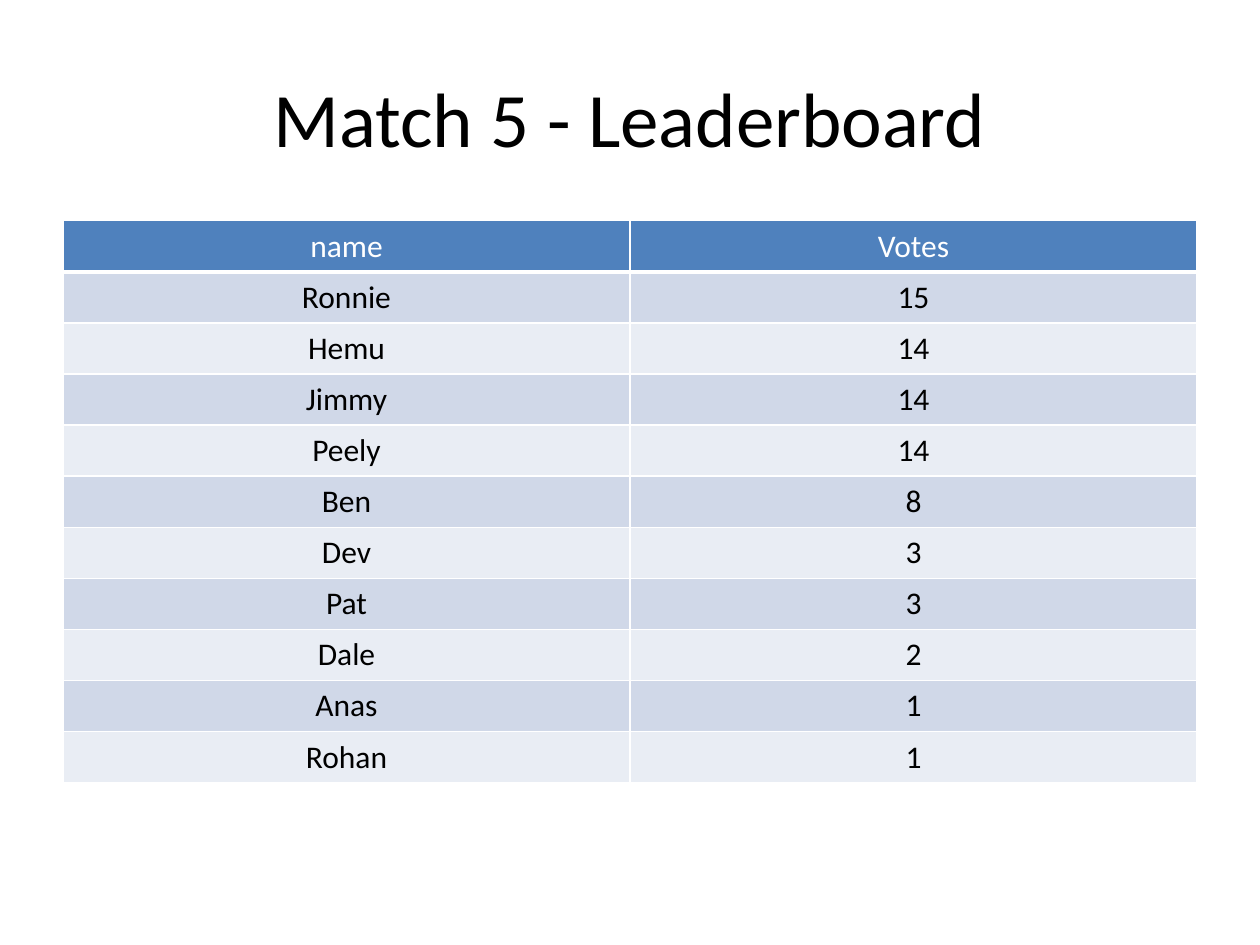
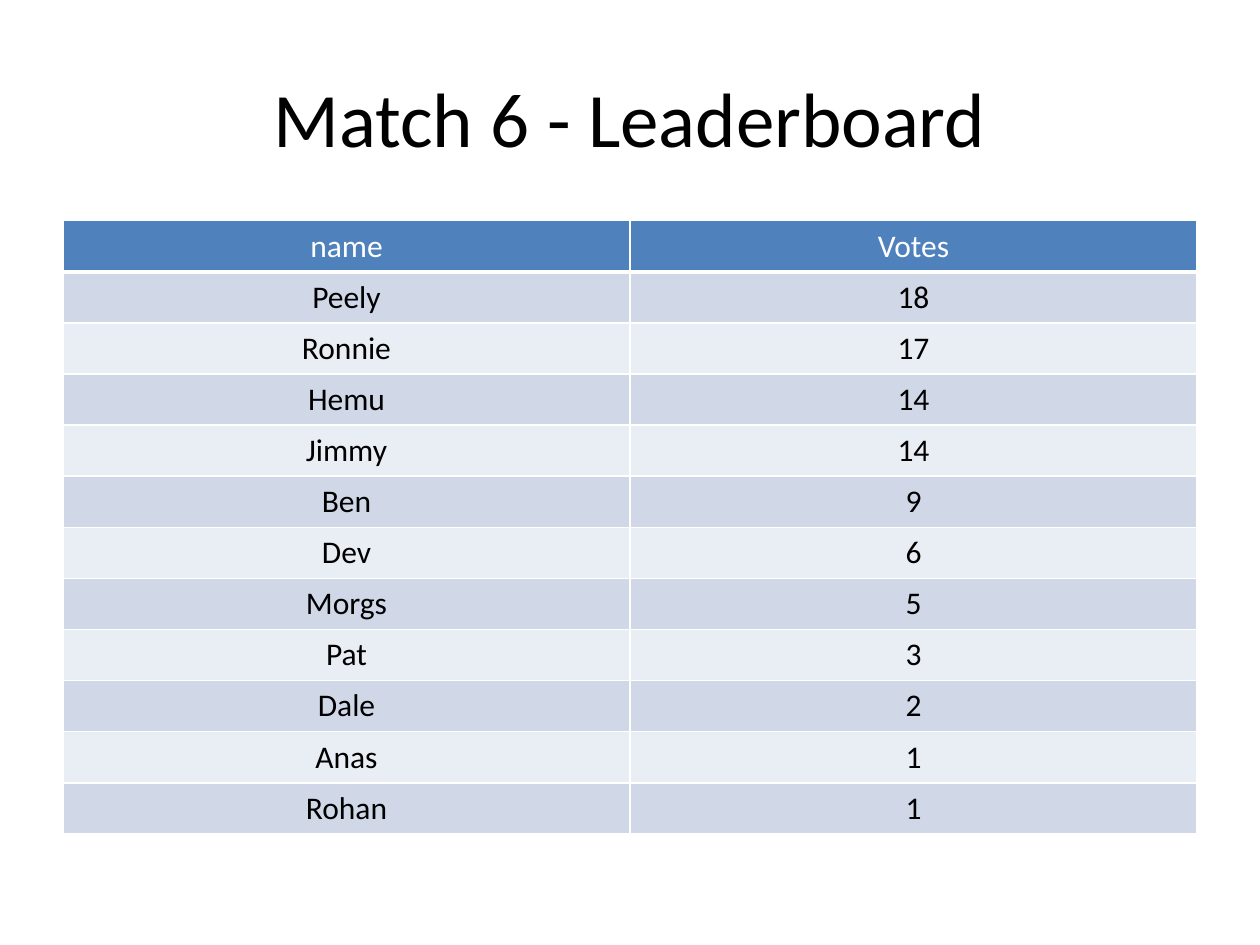
from dataclasses import dataclass

from lxml import etree
from pptx import Presentation
from pptx.dml.color import RGBColor
from pptx.enum.text import MSO_ANCHOR, PP_ALIGN
from pptx.oxml.ns import qn
from pptx.util import Cm, Pt

CENTER = PP_ALIGN.CENTER
MIDDLE = MSO_ANCHOR.MIDDLE
TITLE_ONLY = 5


@dataclass(frozen=True)
class Theme:
    """Colours, type sizes and lengths shared by the slides."""
    font: str = "Calibri"
    text: str = "000000"
    white: str = "FFFFFF"
    header: str = "4F81BD"
    bands: tuple = ("D0D8E8", "E9EDF4")
    title_size: int = 44
    table_size: int = 18
    border: int = 1
    header_border: int = 3
    left: float = 1.27
    width: float = 22.86
    title_top: float = 0.76
    title_height: float = 3.18
    table_top: float = 4.45
    row_height: float = 1.03


THEME = Theme()
HEADINGS = ("name", "Votes")
LEADERBOARDS = {
    "Match 5 - Leaderboard": [
        ("Ronnie", 15), ("Hemu", 14), ("Jimmy", 14), ("Peely", 14), ("Ben", 8),
        ("Dev", 3), ("Pat", 3), ("Dale", 2), ("Anas", 1), ("Rohan", 1),
    ],
    "Match 6 - Leaderboard": [
        ("Peely", 18), ("Ronnie", 17), ("Hemu", 14), ("Jimmy", 14), ("Ben", 9),
        ("Dev", 6), ("Morgs", 5), ("Pat", 3), ("Dale", 2), ("Anas", 1),
        ("Rohan", 1),
    ],
}


def write_text(tf, text, size, color):
    """Put one centred, formatted paragraph into a text frame."""
    tf.text = text
    p = tf.paragraphs[0]
    p.alignment = CENTER
    font = p.runs[0].font
    font.name = THEME.font
    font.size = Pt(size)
    font.bold = False
    font.color.rgb = RGBColor.from_string(color)


def add_title(s, text):
    """Place and fill the title placeholder."""
    sp = s.shapes.title
    sp.left, sp.top = Cm(THEME.left), Cm(THEME.title_top)
    sp.width, sp.height = Cm(THEME.width), Cm(THEME.title_height)
    sp.text_frame.vertical_anchor = MIDDLE
    write_text(sp.text_frame, text, THEME.title_size, THEME.text)


def set_borders(cell, bottom):
    """Draw white lines around a cell, with its own bottom width."""
    tc_pr = cell._tc.get_or_add_tcPr()
    for side in "LRTB":
        width = bottom if side == "B" else THEME.border
        ln = etree.SubElement(tc_pr, qn(f"a:ln{side}"), w=str(Pt(width)))
        fill = etree.SubElement(ln, qn("a:solidFill"))
        etree.SubElement(fill, qn("a:srgbClr"), val=THEME.white)


def style_cell(cell, text, row):
    """Fill a cell as header or as one of the alternating bands."""
    is_header = row == 0
    fill = THEME.header if is_header else THEME.bands[(row - 1) % 2]
    set_borders(cell, THEME.header_border if is_header else THEME.border)
    cell.fill.solid()
    cell.fill.fore_color.rgb = RGBColor.from_string(fill)
    color = THEME.white if is_header else THEME.text
    write_text(cell.text_frame, text, THEME.table_size, color)


def add_leaderboard(s, scores):
    """Add the table of names and votes."""
    rows = [HEADINGS, *scores]
    table = s.shapes.add_table(
        len(rows), len(HEADINGS), Cm(THEME.left), Cm(THEME.table_top),
        Cm(THEME.width), Cm(THEME.row_height * len(rows))).table
    for i, values in enumerate(rows):
        table.rows[i].height = Cm(THEME.row_height)
        for j, value in enumerate(values):
            style_cell(table.cell(i, j), str(value), i)


def main():
    """Build one slide for each leaderboard."""
    prs = Presentation()
    prs.slide_width, prs.slide_height = Cm(25.4), Cm(19.05)
    for title, scores in LEADERBOARDS.items():
        s = prs.slides.add_slide(prs.slide_layouts[TITLE_ONLY])
        add_title(s, title)
        add_leaderboard(s, scores)
    prs.save("out.pptx")


main()
